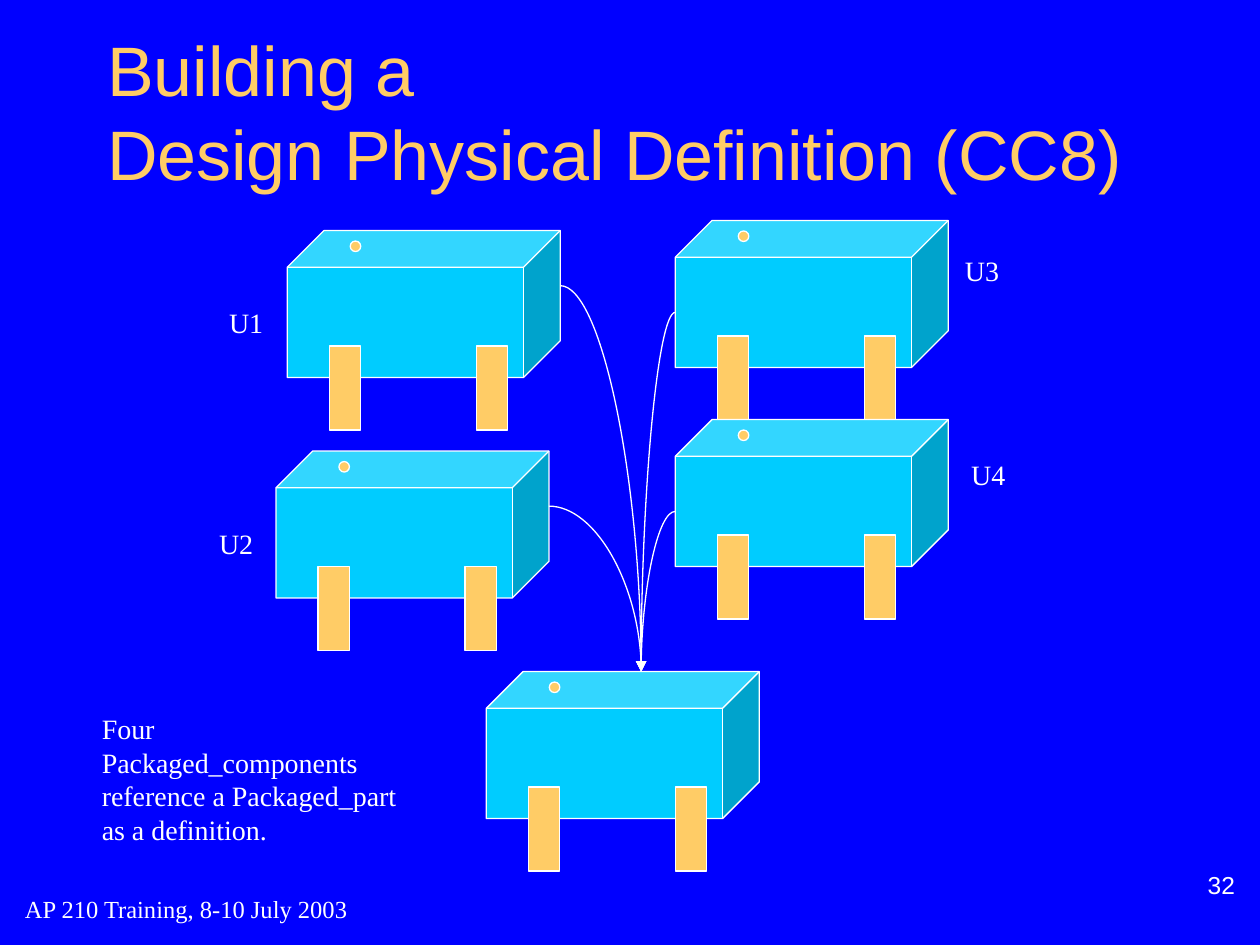
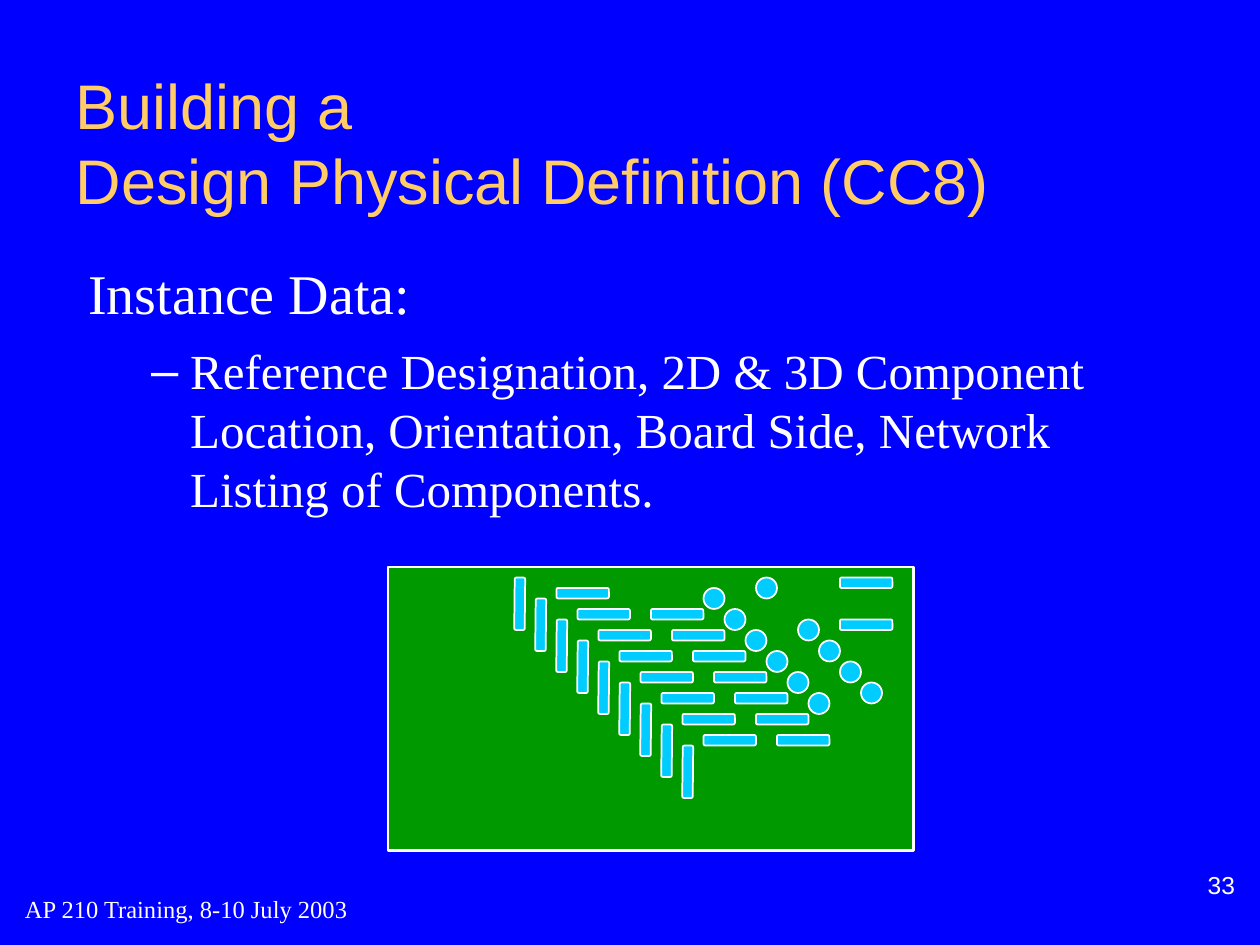
import pptx
import pptx.util
import pptx.dml.color
import pptx.enum.shapes
import pptx.enum.text
import pptx.oxml
import pptx.oxml.ns

Inches, Pt = pptx.util.Inches, pptx.util.Pt
KIND = pptx.enum.shapes.MSO_SHAPE
ANCHOR = pptx.enum.text.MSO_ANCHOR
ALIGN = pptx.enum.text.PP_ALIGN

BLUE, GOLD, WHITE, CYAN, GREEN = "0000FF", "FFCC66", "FFFFFF", "00CCFF", "009900"
SANS, SERIF = "Arial", "Times New Roman"
TITLE = ["Building a", "Design Physical Definition (CC8)"]
FOOTER = "AP 210 Training, 8-10 July 2003"
NOTE = ["Four Packaged_components", "reference a Packaged_part", "as a definition."]
LIST = [
    ("Instance Data:", 0, 32, 0, 0.38, -0.38, None),
    ("Reference Designation, 2D & 3D Component Location, Orientation, "
     "Board Side, Network Listing of Components.", 1, 28, 8.8, 0.81, -0.31, "–"),
]

UNIT = 1 / 12
CUBE_W, CUBE_H = 26 * UNIT, 14 * UNIT
DEPTH = CUBE_H / 4
PART = (3.86, 5.33)
PARTS = [
    ("U3", 5.36, 1.75, 7.56, 1.96),
    ("U1", 2.28, 1.83, 1.72, 2.38),
    ("U4", 5.36, 3.33, 7.61, 3.58),
    ("U2", 2.19, 3.58, 1.64, 4.13),
]
LEGS = [(18, 11), (4, 11)]

BOARD = (3.08, 4.5, 4.17, 2.25)
PAD, DOT = (KIND.ROUNDED_RECTANGLE, 5, 1, 0), (KIND.OVAL, 2, 2, 0)
POST = (KIND.ROUNDED_RECTANGLE, 5, 1, 270.6)
ROWS = [
    (PAD, 80, 55, 1), (PAD, 80, 59, 1), (PAD, 53, 56, 8), (PAD, 62, 58, 7),
    (DOT, 72, 55, 1), (DOT, 67, 56, 6), (DOT, 76, 59, 4), (POST, 47, 57, 9),
]


def paint(color, tone):
    color.rgb = pptx.dml.color.RGBColor.from_string(tone)


def place(item, *box):
    item.left, item.top, item.width, item.height = map(Inches, box)


def write(para, text, size, face=SERIF, tone=WHITE):
    run = para.add_run()
    run.text = text
    run.font.size, run.font.name = Pt(size), face
    paint(run.font.color, tone)


def label(slide, lines, box, size=16, face=SERIF, wrap=False,
          anchor=ANCHOR.TOP, align=ALIGN.LEFT, pad=0.05):
    frame = slide.shapes.add_textbox(*map(Inches, box)).text_frame
    frame.word_wrap, frame.vertical_anchor = wrap, anchor
    frame.margin_top = frame.margin_bottom = Inches(pad)
    for i, line in enumerate(lines):
        para = frame.add_paragraph() if i else frame.paragraphs[0]
        para.alignment = align
        write(para, line, size, face)


def shape(slide, kind, box, fill, width=0.75):
    item = slide.shapes.add_shape(kind, *map(Inches, box))
    item.shadow.inherit = False
    item.fill.solid()
    paint(item.fill.fore_color, fill)
    paint(item.line.color, WHITE)
    item.line.width = Pt(width)
    return item


def start(deck, layout, number, box, size):
    slide = deck.slides.add_slide(deck.slide_layouts[layout])
    title = slide.shapes.title
    place(title, *box)
    frame = title.text_frame
    frame.auto_size = pptx.enum.text.MSO_AUTO_SIZE.NONE
    frame.vertical_anchor = ANCHOR.MIDDLE
    para = frame.paragraphs[0]
    para.alignment = ALIGN.LEFT
    for i, line in enumerate(TITLE):
        if i:
            para.add_line_break()
        write(para, line, size, SANS, GOLD)
    label(slide, [FOOTER], (0.1, 6.96, 4.67, 0.5), 14, wrap=True, anchor=ANCHOR.MIDDLE)
    label(slide, [str(number)], (7.85, 6.72, 2.05, 0.42), 14, SANS, True,
          ANCHOR.BOTTOM, ALIGN.RIGHT, 0)
    return slide


def package(slide, x, y):
    cube = shape(slide, KIND.CUBE, (x, y, CUBE_W, CUBE_H), CYAN)
    cube.adjustments[0] = 0.25
    for dx, dy in LEGS:
        shape(slide, KIND.RECTANGLE,
              (x + dx * UNIT, y + dy * UNIT, 3 * UNIT, 8 * UNIT), GOLD)
    shape(slide, KIND.OVAL, (x + 6 * UNIT, y + UNIT, UNIT, UNIT), GOLD)


def arrow(slide, x, y):
    left = x < PART[0]
    head = (x + CUBE_W, y + (CUBE_H - DEPTH) / 2) if left else (x, y + (CUBE_H + DEPTH) / 2)
    tail = (PART[0] + (CUBE_W + DEPTH) / 2, PART[1])
    link = slide.shapes.add_connector(
        pptx.enum.shapes.MSO_CONNECTOR.CURVE, *map(Inches, head + tail))
    paint(link.line.color, WHITE)
    link.line.width = Pt(0.75)
    props = link._element.spPr
    props.find(pptx.oxml.ns.qn("a:prstGeom")).set("prst", "curvedConnector2")
    tip = pptx.oxml.parse_xml(
        f'<a:tailEnd {pptx.oxml.ns.nsdecls("a")} type="triangle"/>')
    props.find(pptx.oxml.ns.qn("a:ln")).append(tip)
    props.append(pptx.oxml.parse_xml(f'<a:effectLst {pptx.oxml.ns.nsdecls("a")}/>'))


def bullet(para, mark, left, first):
    props = para._p.get_or_add_pPr()
    props.set("marL", str(Inches(left)))
    props.set("indent", str(Inches(first)))
    space = pptx.oxml.ns.nsdecls("a")
    if mark:
        props.append(pptx.oxml.parse_xml(
            f'<a:buClr {space}><a:srgbClr val="{WHITE}"/></a:buClr>'))
        props.append(pptx.oxml.parse_xml(f'<a:buChar {space} char="{mark}"/>'))
    else:
        props.append(pptx.oxml.parse_xml(f'<a:buNone {space}/>'))


def parts(deck):
    slide = start(deck, 5, 32, (0.75, 0.25, 8.5, 1.25), 40)
    label(slide, NOTE, (0.71, 5.6, 2.7, 0.9))
    for name, x, y, tx, ty in PARTS:
        package(slide, x, y)
        label(slide, [name], (tx, ty, 0.47, 0.37))
    package(slide, *PART)
    for name, x, y, tx, ty in PARTS:
        arrow(slide, x, y)


def board(deck):
    slide = start(deck, 1, 33, (0.5, 0.5, 9, 1.25), 36)
    body = slide.placeholders[1]
    place(body, 0.5, 2, 9, 4.5)
    frame = body.text_frame
    frame.auto_size = pptx.enum.text.MSO_AUTO_SIZE.NONE
    frame.margin_left = frame.margin_right = Inches(0.2)
    for i, (text, level, size, gap, left, first, mark) in enumerate(LIST):
        para = frame.add_paragraph() if i else frame.paragraphs[0]
        para.level = level
        bullet(para, mark, left, first)
        para.space_before = Pt(gap)
        write(para, text, size)
    shape(slide, KIND.RECTANGLE, BOARD, GREEN, 1.5)
    for (kind, w, h, turn), x, y, count in ROWS:
        for i in range(count):
            box = [n * UNIT for n in (x + 2 * i, y + 2 * i, w, h)]
            shape(slide, kind, box, CYAN, 1).rotation = turn


def main():
    deck = pptx.Presentation()
    deck.slide_width, deck.slide_height = Inches(10), Inches(7.5)
    back = deck.slide_master.background.fill
    back.solid()
    paint(back.fore_color, BLUE)
    parts(deck)
    board(deck)
    deck.save("out.pptx")


if __name__ == "__main__":
    main()
